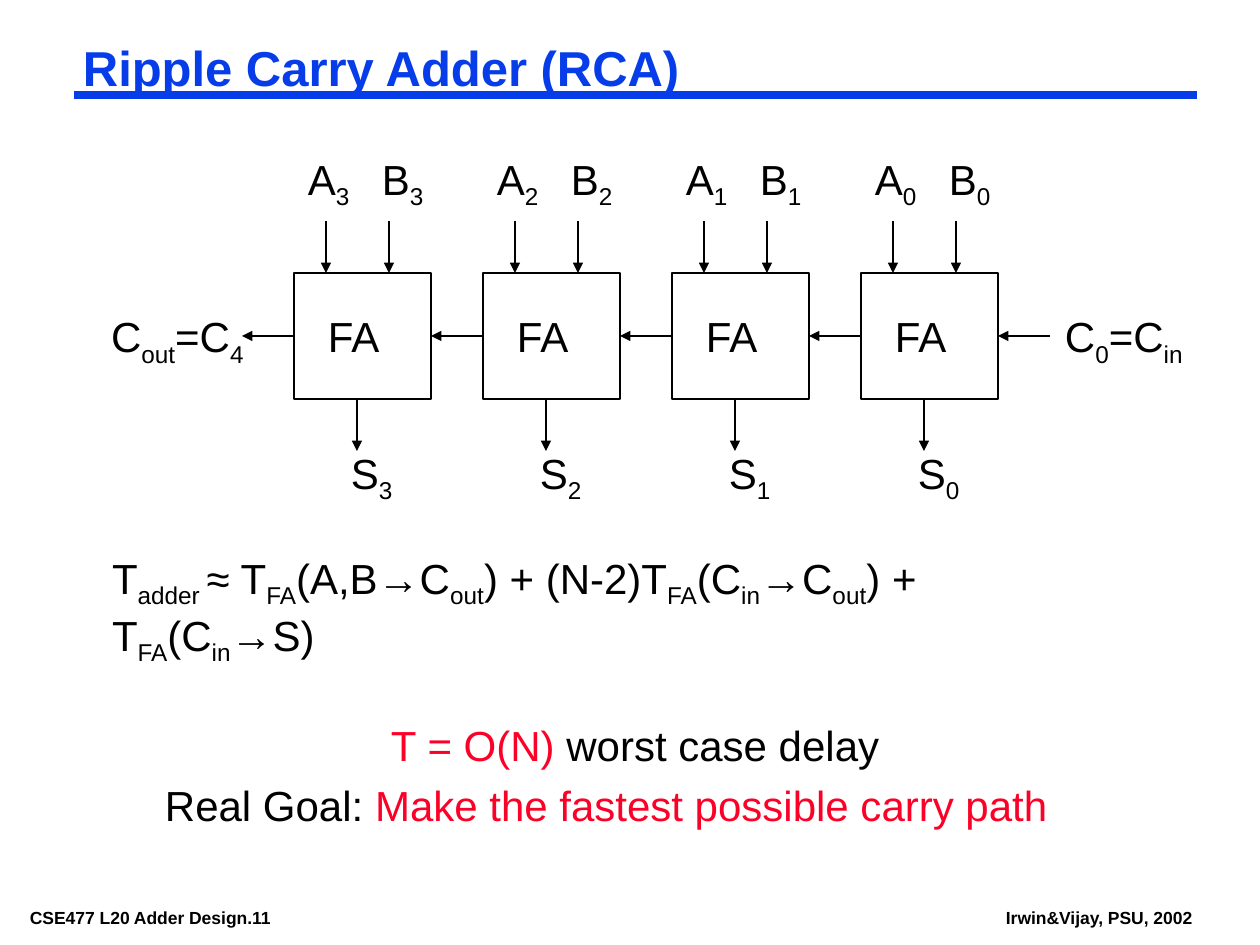
from lxml.etree import SubElement
from pptx import Presentation
from pptx.dml.color import RGBColor
from pptx.enum.shapes import MSO_CONNECTOR, MSO_SHAPE
from pptx.enum.text import MSO_AUTO_SIZE
from pptx.oxml.ns import qn
from pptx.util import Pt

PX = 914400 / 126
COLORS = {"black": "000000", "blue": "063DE8", "red": "FC0128"}
BODY = {"size": Pt(24), "name": "Arial", "bold": False}
FOOTER = {"size": Pt(10), "name": "Arial", "bold": True}
TITLE = {"size": Pt(28), "name": "Arial", "bold": True}
BODY_MARGINS = (13, 6)
SMALL_MARGINS = (9, 4)

presentation = Presentation()
presentation.slide_width = round(1260 * PX)
presentation.slide_height = round(945 * PX)
slide = presentation.slides.add_slide(presentation.slide_layouts[6])


def add_text(box, pieces, font_format=BODY, margins=BODY_MARGINS, wrap=False):
    """Add a text box; underscores switch subscript on and off within a piece."""
    shape = slide.shapes.add_textbox(*(round(value * PX) for value in box))
    side, end = (round(value * PX) for value in margins)
    frame_format = {
        "margin_left": side, "margin_right": side,
        "margin_top": end, "margin_bottom": end,
        "word_wrap": wrap, "auto_size": MSO_AUTO_SIZE.SHAPE_TO_FIT_TEXT,
    }
    for attribute, value in frame_format.items():
        setattr(shape.text_frame, attribute, value)
    paragraph = shape.text_frame.paragraphs[0]
    for text, color in pieces:
        for index, part in enumerate(text.split("_")):
            if not part:
                continue
            run = paragraph.add_run()
            run.text = part
            for attribute, value in font_format.items():
                setattr(run.font, attribute, value)
            run.font.color.rgb = RGBColor.from_string(COLORS[color])
            if index % 2:
                run._r.get_or_add_rPr().set("baseline", "-25000")
    return paragraph


def add_line(start_x, start_y, end_x, end_y, color="black", width=1, arrow=True):
    ends = (round(value * PX) for value in (start_x, start_y, end_x, end_y))
    connector = slide.shapes.add_connector(MSO_CONNECTOR.STRAIGHT, *ends)
    connector.line.color.rgb = RGBColor.from_string(COLORS[color])
    connector.line.width = Pt(width)
    if arrow:
        SubElement(connector.line._get_or_add_ln(), qn("a:tailEnd"), type="triangle")
    SubElement(connector._element.spPr, qn("a:effectLst"))


# Footer
add_text((21, 903, 329, 28), [("CSE477 L20 Adder Design.11", "black")], FOOTER, SMALL_MARGINS)
add_text((997, 903, 212, 28), [("Irwin&Vijay, PSU, 2002", "black")], FOOTER, SMALL_MARGINS)

# Title and rule
add_line(74, 95, 1197, 95, "blue", 4.5, arrow=False)
title = add_text((74, 42, 1123, 58), [("Ripple Carry Adder (RCA)", "blue")],
                 TITLE, SMALL_MARGINS, wrap=True)
title.line_spacing = 0.87

# Full adders, lowest bit on the right
for bit in range(4):
    left = 861 - 189 * bit
    bounds = (round(value * PX) for value in (left, 273, 137, 126))
    adder = slide.shapes.add_shape(MSO_SHAPE.RECTANGLE, *bounds)
    adder.shadow.inherit = False
    adder.fill.background()
    adder.line.color.rgb = RGBColor.from_string(COLORS["black"])
    adder.line.width = Pt(1)
    add_text((left + 21, 305, 82, 63), [("FA", "black")], wrap=True)

    # Inputs, sum and carry out
    for letter, offset, top in (("A", 1, 147), ("B", 75, 147), ("S", 44, 441)):
        add_text((left + offset, top, 74, 71), [(f"{letter}_{bit}", "black")], wrap=True)
    for offset, top in ((32, 221), (95, 221), (63, 399)):
        add_line(left + offset, top, left + offset, top + 52)
    add_line(left, 336, left - 52, 336)

# Carry in and carry out of the chain
add_line(1050, 336, 998, 336)
add_text((1052, 305, 152, 71), [("C_0_=C_in", "black")], wrap=True)
add_text((98, 305, 168, 71), [("C_out_=C_4", "black")], wrap=True)

# Delay formula
formula = "T_adder _≈ T_FA_(A,B→C_out_) + (N-2)T_FA_(C_in_→C_out_) + T_FA_(C_in_→S)"
add_text((99, 546, 1030, 71), [(formula, "black")], wrap=True)

# Conclusions
add_text((378, 714, 530, 63),
         [("T = O(N) ", "red"), ("worst case delay", "black")], wrap=True)
add_text((152, 774, 930, 63),
         [("Real Goal:", "black"), (" Make the fastest possible carry path", "red")], wrap=True)

presentation.save("out.pptx")
